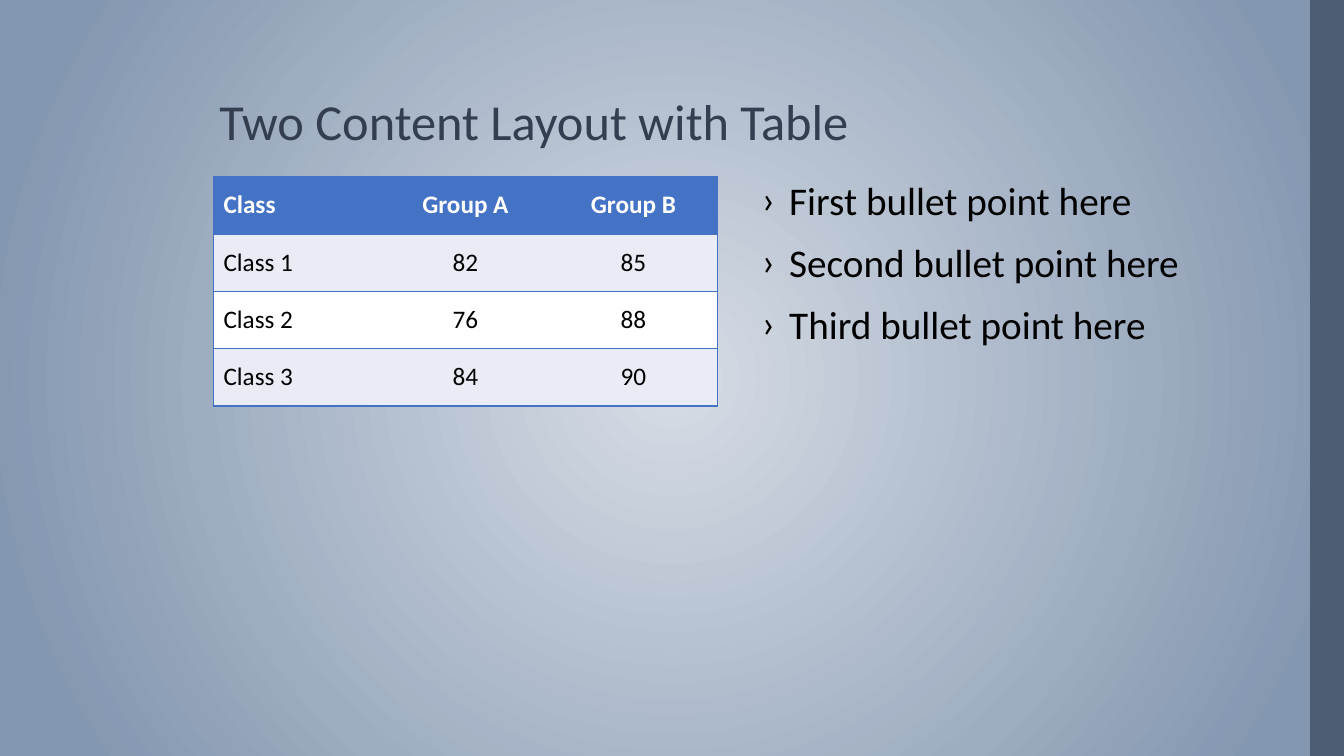
from pptx import Presentation
from pptx.dml.color import RGBColor
from pptx.enum.shapes import MSO_SHAPE
from pptx.enum.text import MSO_ANCHOR, PP_ALIGN
from pptx.oxml.ns import qn
from pptx.util import Cm, Pt
from lxml import etree

RECTANGLE = MSO_SHAPE.RECTANGLE
MIDDLE, BOTTOM = MSO_ANCHOR.MIDDLE, MSO_ANCHOR.BOTTOM
LEFT, CENTER = PP_ALIGN.LEFT, PP_ALIGN.CENTER

FONT = "Calibri"
ACCENT, BAND, WHITE, BLACK = "4472C4", "E9EBF5", "FFFFFF", "000000"
SCORES = [
    ("Class", "Group A", "Group B"),
    ("Class 1", "82", "85"),
    ("Class 2", "76", "88"),
    ("Class 3", "84", "90"),
]
POINTS = [
    "First bullet point here",
    "Second bullet point here",
    "Third bullet point here",
]


def color(value):
    """Turn a hex string into a colour."""
    return RGBColor.from_string(value)


def style(para, size, value, bold=False):
    """Format every run of a paragraph."""
    for span in para.runs:
        span.font.name = FONT
        span.font.size = Pt(size)
        span.font.bold = bold
        span.font.color.rgb = color(value)


def add_backdrop(page):
    """Fill the page with a gradient that spreads from its centre."""
    fill = page.background.fill
    fill.gradient()
    stops = [("D6DCE5", 0), ("8497B0", 0.9)]
    for stop, (value, position) in zip(fill.gradient_stops, stops):
        stop.color.rgb = color(value)
        stop.position = position
    gradient = page._element.find(".//" + qn("a:gradFill"))
    gradient.remove(gradient.find(qn("a:lin")))
    circle = etree.SubElement(gradient, qn("a:path"), {"path": "circle"})
    middle = {side: "50000" for side in "ltrb"}
    etree.SubElement(circle, qn("a:fillToRect"), middle)


def add_side_bar(page, left, top, width, height):
    """Draw the translucent bar at the page edge."""
    bar = page.shapes.add_shape(RECTANGLE, left, top, width, height)
    bar.shadow.inherit = False
    bar.fill.solid()
    bar.fill.fore_color.rgb = color("44546A")
    bar.line.fill.background()
    tint = bar._element.spPr.find(".//" + qn("a:srgbClr"))
    etree.SubElement(tint, qn("a:alpha"), {"val": "87000"})


def add_title(page, left, top, width, height):
    """Place the heading at the foot of its box."""
    frame = page.shapes.add_textbox(left, top, width, height).text_frame
    frame.word_wrap = True
    frame.vertical_anchor = BOTTOM
    frame.text = "Two Content Layout with Table"
    frame.paragraphs[0].line_spacing = 0.9
    style(frame.paragraphs[0], 36, "333F50")


def set_borders(cell, visible):
    """Draw the named cell edges and clear the others."""
    properties = cell._tc.get_or_add_tcPr()
    for side in "LRTB":
        line = etree.SubElement(properties, qn("a:ln" + side), {"w": str(Pt(1))})
        if side in visible:
            paint = etree.SubElement(line, qn("a:solidFill"))
            etree.SubElement(paint, qn("a:srgbClr"), {"val": ACCENT})
        else:
            etree.SubElement(line, qn("a:noFill"))


def add_score_table(page, left, top, width, height):
    """Place the table of class scores with a header and banded rows."""
    last = len(SCORES[0]) - 1
    table = page.shapes.add_table(
        len(SCORES), last + 1, left, top, width, height).table
    for row, values in enumerate(SCORES):
        header = row == 0
        fill = ACCENT if header else BAND if row % 2 else WHITE
        for column, value in enumerate(values):
            cell = table.cell(row, column)
            sides = "TB" + ("L" if column == 0 else "")
            set_borders(cell, sides + ("R" if column == last else ""))
            cell.fill.solid()
            cell.fill.fore_color.rgb = color(fill)
            cell.vertical_anchor = MIDDLE
            cell.text_frame.text = value
            para = cell.text_frame.paragraphs[0]
            para.alignment = CENTER if column else LEFT
            style(para, 18, WHITE if header else BLACK, header)


def add_bullets(page, left, top, width, height):
    """Place the bullet points with a hanging indent."""
    frame = page.shapes.add_textbox(left, top, width, height).text_frame
    frame.word_wrap = True
    frame.text = "\n".join(POINTS)
    indent = Cm(0.69)
    for para in frame.paragraphs:
        para.line_spacing = 0.9
        para.space_before = Pt(14)
        properties = para._p.get_or_add_pPr()
        properties.set("marL", str(indent))
        properties.set("indent", str(-indent))
        etree.SubElement(properties, qn("a:buFont"), {"typeface": FONT})
        etree.SubElement(properties, qn("a:buChar"), {"char": "›"})
        style(para, 28, BLACK)


def main():
    """Build the slide and save the deck."""
    deck = Presentation()
    deck.slide_width, deck.slide_height = Cm(33.87), Cm(19.05)
    page = deck.slides.add_slide(deck.slide_layouts[6])
    add_backdrop(page)
    add_side_bar(page, Cm(33.02), Cm(0), Cm(0.85), Cm(19.05))
    add_title(page, Cm(5.28), Cm(0.48), Cm(26.31), Cm(3.45))
    add_score_table(page, Cm(5.38), Cm(4.45), Cm(12.7), Cm(5.78))
    add_bullets(page, Cm(18.95), Cm(4.45), Cm(12.7), Cm(12.7))
    deck.save("out.pptx")


main()
